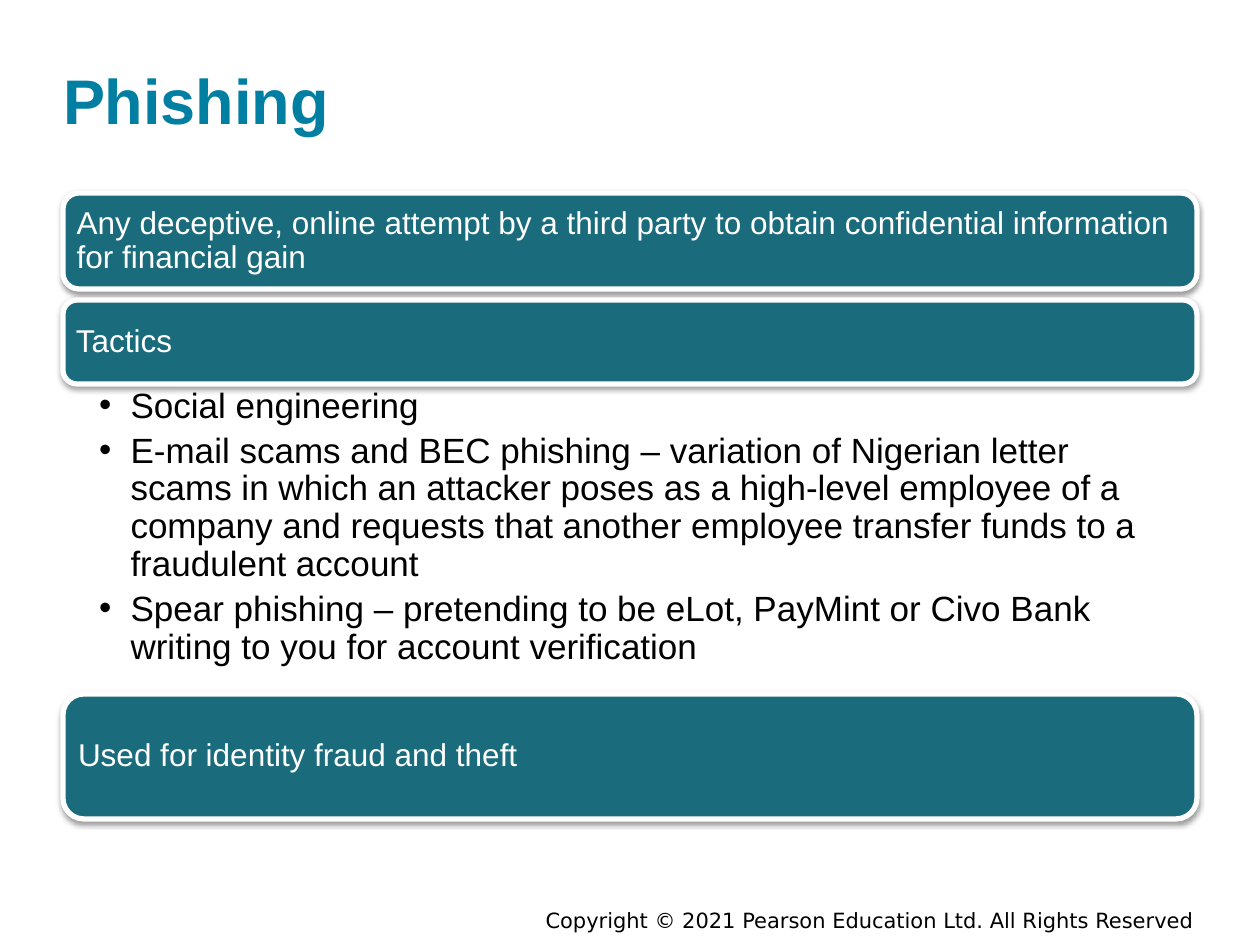
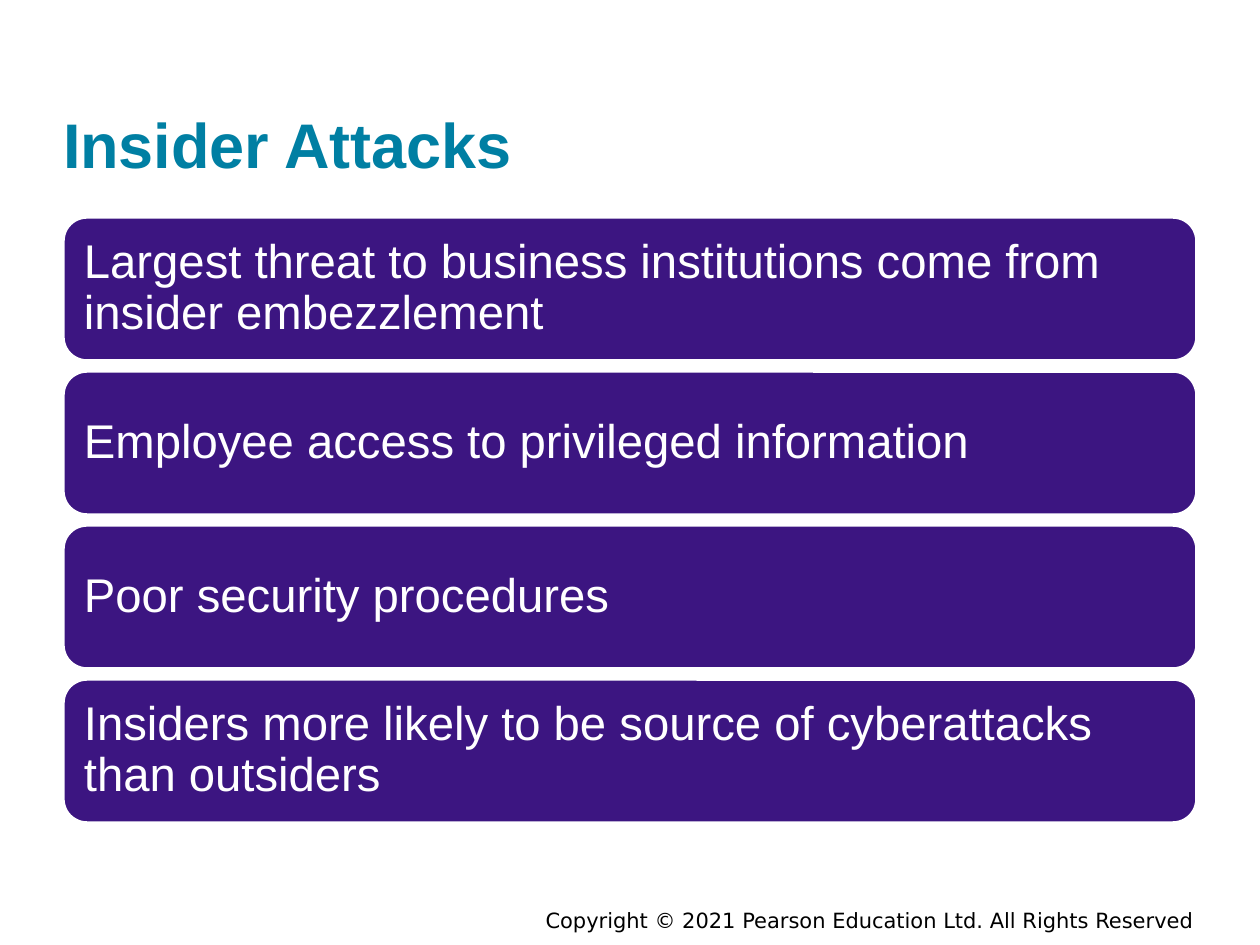
from lxml import etree
from pptx import Presentation
from pptx import util as u
from pptx.dml.color import RGBColor
from pptx.enum import shapes, text
from pptx.oxml import ns

BLUE = RGBColor(0x00, 0x7F, 0xA3)
TEAL = RGBColor(0x1A, 0x6C, 0x7C)
PLUM = RGBColor(0x3C, 0x15, 0x81)
WHITE = RGBColor(0xFF, 0xFF, 0xFF)
BLACK = RGBColor(0x00, 0x00, 0x00)

FOOT = "Copyright © 2021 Pearson Education Ltd. All Rights Reserved"
LEFT, WIDE = 63, 1134

DECK = [
    dict(
        title="Phishing", head=(44, 93), top=193, layout=1,
        look=dict(fill=TEAL, edge=3, size=18, pad=9, shade=True),
        parts=[
            (0, 96, "Any deceptive, online attempt by a third party to obtain "
                    "confidential information for financial gain"),
            (11, 84, "Tactics"),
            (0, 281, [
                "Social engineering",
                "E-mail scams and BEC phishing – variation of Nigerian letter "
                "scams in which an attacker poses as a high-level employee of a "
                "company and requests that another employee transfer funds to a "
                "fraudulent account",
                "Spear phishing – pretending to be eLot, PayMint or Civo Bank "
                "writing to you for account verification",
            ]),
            (29, 125, "Used for identity fraud and theft"),
        ],
    ),
    dict(
        title="Insider Attacks", head=(30, 151), top=217, layout=5,
        look=dict(fill=PLUM, edge=2, size=27, pad=14, shade=False),
        parts=[
            (0, 144, "Largest threat to business institutions come from "
                     "insider embezzlement"),
            (10, 144, "Employee access to privileged information"),
            (10, 144, "Poor security procedures"),
            (10, 144, "Insiders more likely to be source of cyberattacks "
                      "than outsiders"),
        ],
    ),
]


def px(n):
    return round(n * 914400 / 126)


def place(shape, x, y, w, h):
    shape.left, shape.top, shape.width, shape.height = map(px, (x, y, w, h))


def frame(shape, pads, anchor):
    tf = shape.text_frame
    tf.word_wrap = True
    tf.auto_size = text.MSO_AUTO_SIZE.NONE
    tf.vertical_anchor = anchor
    tf.margin_left, tf.margin_top, tf.margin_right, tf.margin_bottom = map(px, pads)
    return tf


def write(para, words, size, color, bold=False, face="Arial",
          align=text.PP_ALIGN.LEFT, line=1.0, after=0):
    para.alignment = align
    para.line_spacing = line
    para.space_before = u.Pt(0)
    para.space_after = u.Pt(after)
    run = para.add_run()
    run.text = words
    font = run.font
    font.name, font.size, font.bold = face, u.Pt(size), bold
    font.color.rgb = color


def add_shade(shape):
    effects = shape._element.spPr.find(ns.qn("a:effectLst"))
    shade = etree.SubElement(effects, ns.qn("a:outerShdw"), blurRad=str(u.Pt(3.1)),
                             dist=str(u.Pt(1.6)), dir="5400000", rotWithShape="0")
    color = etree.SubElement(shade, ns.qn("a:srgbClr"), val=str(BLACK))
    etree.SubElement(color, ns.qn("a:alpha"), val="38000")


def add_box(slide, y, h, words, fill, edge, size, pad, shade):
    box = slide.shapes.add_shape(shapes.MSO_SHAPE.ROUNDED_RECTANGLE,
                                 px(LEFT), px(y), px(WIDE), px(h))
    box.shadow.inherit = False
    box.fill.solid()
    box.fill.fore_color.rgb = fill
    box.line.color.rgb = WHITE
    box.line.width = u.Pt(edge)
    if shade:
        add_shade(box)
    tf = frame(box, [pad] * 4, text.MSO_ANCHOR.MIDDLE)
    write(tf.paragraphs[0], words, size, WHITE, line=0.9)


def fill_list(slide, y, h, items):
    body = slide.placeholders[1]
    place(body, LEFT, y, WIDE, h)
    tf = frame(body, (36, 4, 20, 4), text.MSO_ANCHOR.TOP)
    for i, item in enumerate(items):
        para = tf.add_paragraph() if i else tf.paragraphs[0]
        props = para._p.get_or_add_pPr()
        props.set("marL", str(u.Inches(0.25)))
        props.set("indent", str(-u.Inches(0.25)))
        write(para, item, 20, BLACK, line=0.9, after=4)


def add_foot(slide):
    foot = slide.shapes.add_textbox(px(373), px(895), px(834), px(50))
    tf = frame(foot, (13, 6, 13, 6), text.MSO_ANCHOR.MIDDLE)
    write(tf.paragraphs[0], FOOT, 12, BLACK, face="DejaVu Sans",
          align=text.PP_ALIGN.RIGHT)


def add_page(deck, page):
    slide = deck.slides.add_slide(deck.slide_layouts[page["layout"]])
    title = slide.shapes.title
    y, h = page["head"]
    place(title, LEFT, y, WIDE, h)
    tf = frame(title, [0] * 4, text.MSO_ANCHOR.BOTTOM)
    write(tf.paragraphs[0], page["title"], 36, BLUE, bold=True)
    y = page["top"]
    for gap, h, words in page["parts"]:
        y += gap
        if isinstance(words, list):
            fill_list(slide, y, h, words)
        else:
            add_box(slide, y, h, words, **page["look"])
        y += h
    add_foot(slide)


def main():
    deck = Presentation()
    deck.slide_width, deck.slide_height = px(1260), px(945)
    for page in DECK:
        add_page(deck, page)
    deck.save("out.pptx")


if __name__ == "__main__":
    main()
